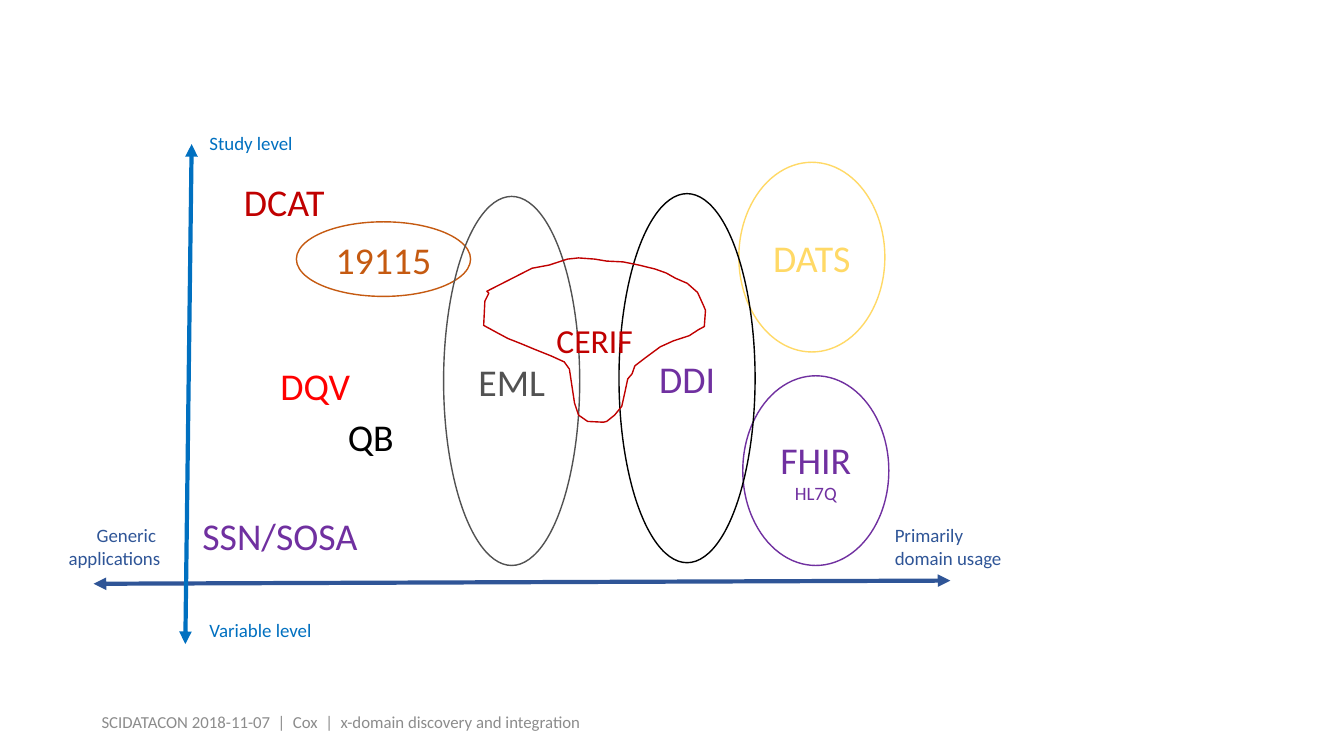
from lxml import etree
from pptx import Presentation
from pptx.dml.color import RGBColor
from pptx.enum.shapes import MSO_CONNECTOR, MSO_SHAPE
from pptx.enum.text import MSO_ANCHOR, PP_ALIGN
from pptx.oxml.ns import qn
from pptx.util import Cm, Pt

STRAIGHT = MSO_CONNECTOR.STRAIGHT
OVAL = MSO_SHAPE.OVAL
TOP, MIDDLE = MSO_ANCHOR.TOP, MSO_ANCHOR.MIDDLE
LEFT, CENTER, RIGHT = PP_ALIGN.LEFT, PP_ALIGN.CENTER, PP_ALIGN.RIGHT

FONT = "Calibri"
NAVY = RGBColor(0x2F, 0x55, 0x97)
BLUE = RGBColor(0x00, 0x70, 0xC0)
PURPLE = RGBColor(0x70, 0x30, 0xA0)
DARK_RED = RGBColor(0xC0, 0x00, 0x00)
RED = RGBColor(0xFF, 0x00, 0x00)
ORANGE = RGBColor(0xC5, 0x5A, 0x11)
YELLOW = RGBColor(0xFF, 0xD9, 0x66)
DARK_GRAY = RGBColor(0x52, 0x52, 0x52)
GRAY = RGBColor(0x8C, 0x8C, 0x8C)
BLACK = RGBColor(0x00, 0x00, 0x00)

NAME_SIZE, LABEL_SIZE = 27, 13.5
PLAIN = (6.65, 1.88)
TALL = (3.43, 9.3)
ROUND = (3.68, 4.78)

# name, left, top, (width, height), text colour, outline colour
STANDARDS = [
    ("SSN/SOSA", 3.73, 12.55, PLAIN, PURPLE, None),
    ("DCAT", 3.84, 4.14, PLAIN, DARK_RED, None),
    ("19115", 7.47, 5.59, (4.39, 1.88), ORANGE, ORANGE),
    ("EML", 11.18, 4.95, TALL, DARK_GRAY, DARK_GRAY),
    ("DQV", 4.62, 8.76, PLAIN, RED, None),
    ("FHIR\nHL7Q", 18.72, 9.47, ROUND, PURPLE, PURPLE),
    ("DATS", 18.62, 4.09, ROUND, YELLOW, YELLOW),
    ("DDI", 15.6, 4.88, TALL, PURPLE, BLACK),
    ("QB", 6.02, 10.06, PLAIN, BLACK, None),
]

# text, left, top, width, height, colour, alignment
AXIS_LABELS = [
    ("Primarily \ndomain usage", 22.3, 13.08, 3.86, 1.42, NAVY, LEFT),
    ("Generic \napplications", 1.42, 13.08, 2.87, 1.42, NAVY, RIGHT),
    ("Variable level", 5.03, 15.47, 3.12, 0.84, BLUE, LEFT),
    ("Study level", 5.03, 3.18, 2.64, 0.84, BLUE, LEFT),
]

# Hundredths of a centimetre, clockwise from the upper left
CERIF_OUTLINE = [
    (1227, 734), (1341, 676), (1384, 668), (1430, 653), (1458, 650),
    (1499, 653), (1529, 658), (1570, 660), (1610, 668), (1651, 678),
    (1679, 688), (1702, 701), (1732, 714), (1758, 737), (1773, 770),
    (1778, 782), (1775, 823), (1760, 831), (1737, 846), (1697, 859),
    (1664, 874), (1626, 902), (1600, 922), (1593, 942), (1582, 955),
    (1575, 988), (1567, 1024), (1549, 1046), (1529, 1062), (1521, 1064),
    (1481, 1062), (1458, 1046), (1448, 1016), (1443, 983), (1435, 930),
    (1422, 912), (1389, 897), (1349, 881), (1313, 866), (1280, 853),
    (1252, 838), (1219, 820), (1222, 759), (1232, 739),
]


def write_text(shape, text, sizes, color, align, anchor):
    """Write one paragraph, with a line break between lines; sizes has one entry per line."""
    frame = shape.text_frame
    frame.vertical_anchor = anchor
    para = frame.paragraphs[0]
    para.alignment = align
    for index, (line, size) in enumerate(zip(text.split("\n"), sizes)):
        if index:
            para.add_line_break()
        span = para.add_run()
        span.text = line
        span.font.name = FONT
        span.font.size = Pt(size)
        span.font.color.rgb = color


def style_outline(shape, color):
    shape.shadow.inherit = False
    shape.fill.background()
    if color is None:
        shape.line.fill.background()
    else:
        shape.line.color.rgb = color
        shape.line.width = Pt(1)


def add_standard(page, name, left, top, size, color, outline):
    oval = page.shapes.add_shape(OVAL, Cm(left), Cm(top), *map(Cm, size))
    style_outline(oval, outline)
    write_text(oval, name, (NAME_SIZE, LABEL_SIZE), color, CENTER, MIDDLE)


def add_cerif(page):
    builder = page.shapes.build_freeform(*CERIF_OUTLINE[0], scale=Cm(0.01))
    builder.add_line_segments(CERIF_OUTLINE[1:], close=True)
    blob = builder.convert_to_shape()
    style_outline(blob, DARK_RED)
    write_text(blob, "CERIF", (24,), DARK_RED, CENTER, MIDDLE)


def add_axis(page, start, end, color):
    axis = page.shapes.add_connector(STRAIGHT, *map(Cm, start + end))
    axis.line.color.rgb = color
    axis.line.width = Pt(3)
    line = axis.line._get_or_add_ln()
    for tag in ("a:headEnd", "a:tailEnd"):
        etree.SubElement(line, qn(tag), type="triangle")
    etree.SubElement(axis._element.spPr, qn("a:effectLst"))


def add_label(page, text, left, top, width, height, color, align):
    box = page.shapes.add_textbox(Cm(left), Cm(top), Cm(width), Cm(height))
    box.text_frame.word_wrap = False
    write_text(box, text, (LABEL_SIZE, LABEL_SIZE), color, align, TOP)


def add_footer(page):
    box = page.shapes.add_textbox(Cm(2.31), Cm(17.68), Cm(13.61), Cm(1.02))
    box.text_frame.word_wrap = True
    text = "SCIDATACON 2018-11-07  |  Cox  |  x-domain discovery and integration"
    write_text(box, text, (12,), GRAY, LEFT, MIDDLE)


def main():
    deck = Presentation()
    deck.slide_width, deck.slide_height = Cm(33.87), Cm(19.05)
    page = deck.slides.add_slide(deck.slide_layouts[6])
    add_axis(page, (2.36, 14.71), (23.95, 14.63), NAVY)
    add_axis(page, (4.67, 16.23), (4.83, 3.63), BLUE)
    for label in AXIS_LABELS:
        add_label(page, *label)
    for standard in STANDARDS:
        add_standard(page, *standard)
    add_cerif(page)
    add_footer(page)
    deck.save("out.pptx")


if __name__ == "__main__":
    main()
